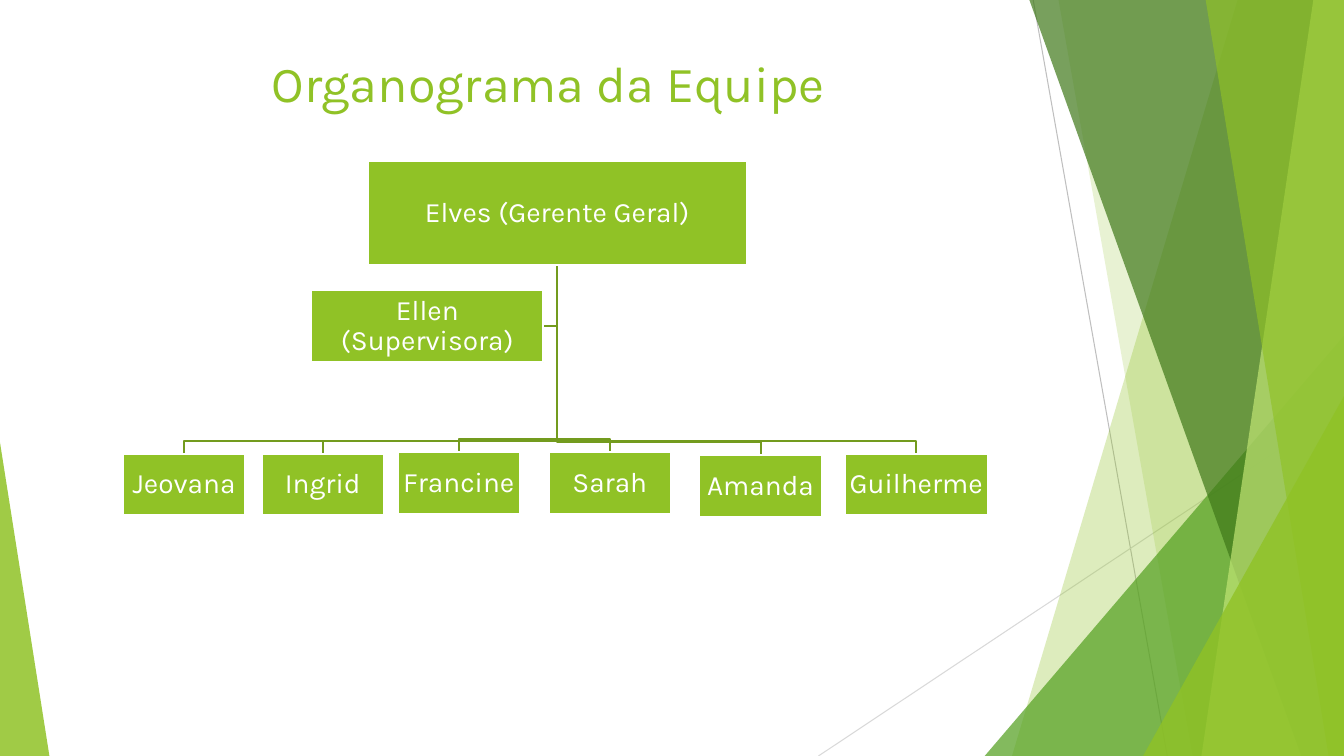
from dataclasses import dataclass

from lxml import etree
from pptx import Presentation
from pptx import util as u
from pptx.dml.color import RGBColor
from pptx.enum import shapes, text
from pptx.oxml import ns

COLORS = {
    "lime": "90C226",
    "pale": "C0E474",
    "green": "54A021",
    "forest": "3F7819",
    "link": "739B1E",
    "gray": "BFBFBF",
    "light gray": "D9D9D9",
    "white": "FFFFFF",
}
WIDTH, HEIGHT = 960, 540
TOP_EDGE = -0.6
FONT = "Karla"
DROP = 9.4  # from the shared horizontal line down to a member box


@dataclass(frozen=True)
class Ray:
    start: tuple[float, float]
    end: tuple[float, float]
    color: str


@dataclass(frozen=True)
class Band:
    """Full-height facet that reaches the right edge of the slide."""
    top_x: float
    bottom_x: float
    color: str
    opacity: int


@dataclass(frozen=True)
class Wedge:
    """Triangle standing on the bottom edge, its apex at the left (0) or right (1)."""
    left: float
    top: float
    width: float
    apex: float
    color: str
    opacity: int


@dataclass(frozen=True)
class Person:
    label: str
    left: float
    top: float
    width: float = 87.5
    height: float = 43.9

    @property
    def center_x(self) -> float:
        return self.left + self.width / 2


RAYS = [
    Ray((738, 0), (833.8, HEIGHT), "gray"),
    Ray((WIDTH, 290.2), (584.6, HEIGHT), "light gray"),
]
FACETS = [
    Band(884.2, 722.9, "lime", 30),
    Band(756, 851.8, "lime", 20),
    Wedge(703.4, 239.8, 256.6, 1, "green", 72),
    Band(735.1, 929.5, "forest", 70),
    Band(938.2, 858.2, "pale", 70),
    Band(861.1, 949, "lime", 65),
    Wedge(816.5, 283, 143.5, 1, "lime", 80),
    Wedge(0, 316.1, 35.3, 0, "lime", 85),
]
MANAGER = Person("Elves (Gerente Geral)", 262.8, 115.2, 270.7, 74.2)
SUPERVISOR = Person("Ellen (Supervisora)", 222.5, 207.4, 165.6, 51.5)
MEMBERS = [
    Person("Jeovana", 87.8, 324.3),
    Person("Ingrid", 186.8, 324.3),
    Person("Francine", 284, 323.1),
    Person("Sarah", 391.8, 323.1),
    Person("Amanda", 499.5, 325.3),
    Person("Guilherme", 603.4, 324.3, 102.2),
]


def rgb(color: str) -> RGBColor:
    return RGBColor.from_string(COLORS[color])


def points(*lengths: float) -> list[u.Length]:
    return [u.Pt(length) for length in lengths]


def set_line(shape, color: str, width: float) -> None:
    shape.line.color.rgb = rgb(color)
    shape.line.width = u.Pt(width)


def set_fill(shape, color: str, opacity: int = 100) -> None:
    shape.shadow.inherit = False
    shape.fill.solid()
    shape.fill.fore_color.rgb = rgb(color)
    if opacity < 100:
        color_element = shape.fill._xPr.find(".//" + ns.qn("a:srgbClr"))
        etree.SubElement(color_element, ns.qn("a:alpha"), val=str(opacity * 1000))


def add_path(slide, vertices: list[tuple[float, float]], close: bool):
    start, *others = [tuple(points(*vertex)) for vertex in vertices]
    builder = slide.shapes.build_freeform(*start)
    builder.add_line_segments(others, close=close)
    shape = builder.convert_to_shape()
    shape.shadow.inherit = False
    return shape


def add_ray(slide, ray: Ray) -> None:
    connector = slide.shapes.add_connector(
        shapes.MSO_CONNECTOR.STRAIGHT, *points(*ray.start, *ray.end))
    set_line(connector, ray.color, 0.75)
    etree.SubElement(connector._element.spPr, ns.qn("a:effectLst"))


def add_facet(slide, facet: Band | Wedge) -> None:
    if isinstance(facet, Band):
        shape = add_path(slide, [
            (facet.top_x, TOP_EDGE), (WIDTH, TOP_EDGE),
            (WIDTH, HEIGHT), (facet.bottom_x, HEIGHT)], close=True)
    else:
        shape = slide.shapes.add_shape(
            shapes.MSO_SHAPE.ISOSCELES_TRIANGLE,
            *points(facet.left, facet.top, facet.width, HEIGHT - facet.top))
        shape.adjustments[0] = facet.apex
    set_fill(shape, facet.color, facet.opacity)
    shape.line.fill.background()


def add_link(slide, vertices: list[tuple[float, float]]) -> None:
    shape = add_path(slide, vertices, close=False)
    shape.fill.background()
    set_line(shape, "link", 1.5)


def write(shape, label: str, size: float, color: str, frame_format: dict) -> None:
    frame = shape.text_frame
    for name, value in {"word_wrap": True, **frame_format}.items():
        setattr(frame, name, value)
    paragraph = frame.paragraphs[0]
    paragraph.alignment = text.PP_ALIGN.CENTER
    paragraph.line_spacing = 0.9 if size < 30 else 1.0
    run = paragraph.add_run()
    run.text = label
    for name, value in {"name": FONT, "size": u.Pt(size)}.items():
        setattr(run.font, name, value)
    run.font.color.rgb = rgb(color)


def add_person(slide, person: Person) -> None:
    shape = slide.shapes.add_shape(
        shapes.MSO_SHAPE.RECTANGLE,
        *points(person.left, person.top, person.width, person.height))
    set_fill(shape, "lime")
    set_line(shape, "white", 1.5)
    margins = {f"margin_{side}": u.Pt(0.7) for side in ("left", "top", "right", "bottom")}
    write(shape, person.label, 20, "white",
          {"vertical_anchor": text.MSO_ANCHOR.MIDDLE, **margins})


def add_links(slide) -> None:
    trunk_x = MANAGER.center_x
    trunk_top = MANAGER.top + MANAGER.height
    supervisor_y = SUPERVISOR.top + SUPERVISOR.height / 2
    add_link(slide, [(trunk_x, trunk_top), (trunk_x, supervisor_y),
                     (SUPERVISOR.left + SUPERVISOR.width, supervisor_y)])
    for member in reversed(MEMBERS):
        branch_y = member.top - DROP
        add_link(slide, [(trunk_x, trunk_top), (trunk_x, branch_y),
                         (member.center_x, branch_y), (member.center_x, member.top)])


def main() -> None:
    presentation = Presentation()
    presentation.slide_width, presentation.slide_height = points(WIDTH, HEIGHT)
    slide = presentation.slides.add_slide(presentation.slide_layouts[6])
    for ray in RAYS:
        add_ray(slide, ray)
    for facet in FACETS:
        add_facet(slide, facet)
    title = slide.shapes.add_textbox(*points(53.3, 31, 676.8, 103.7))
    write(title, "Organograma da Equipe", 36, "lime",
          {"vertical_anchor": text.MSO_ANCHOR.TOP, "margin_top": u.Pt(6.5)})
    add_links(slide)
    for person in [MANAGER, *MEMBERS, SUPERVISOR]:
        add_person(slide, person)
    presentation.save("out.pptx")


if __name__ == "__main__":
    main()
